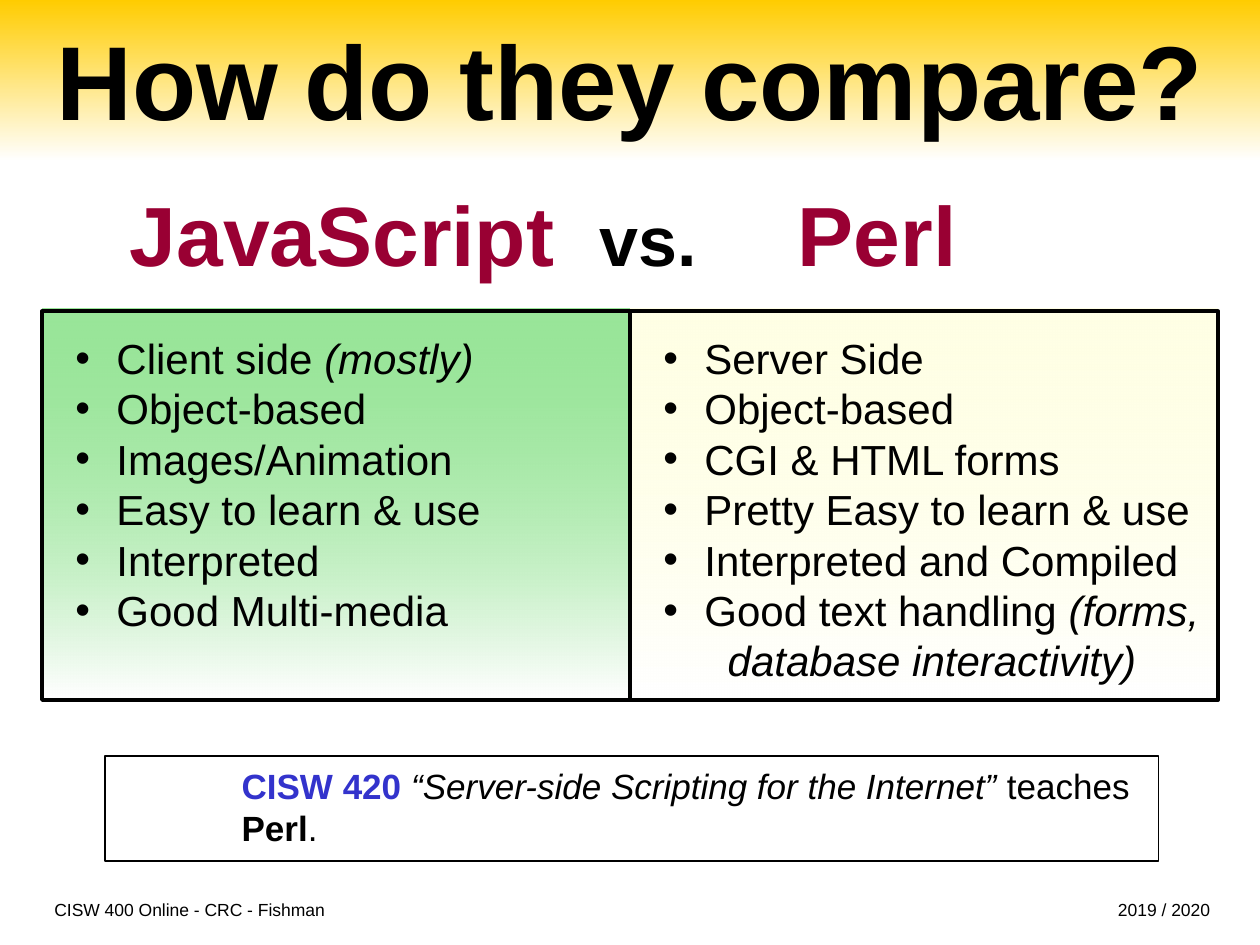
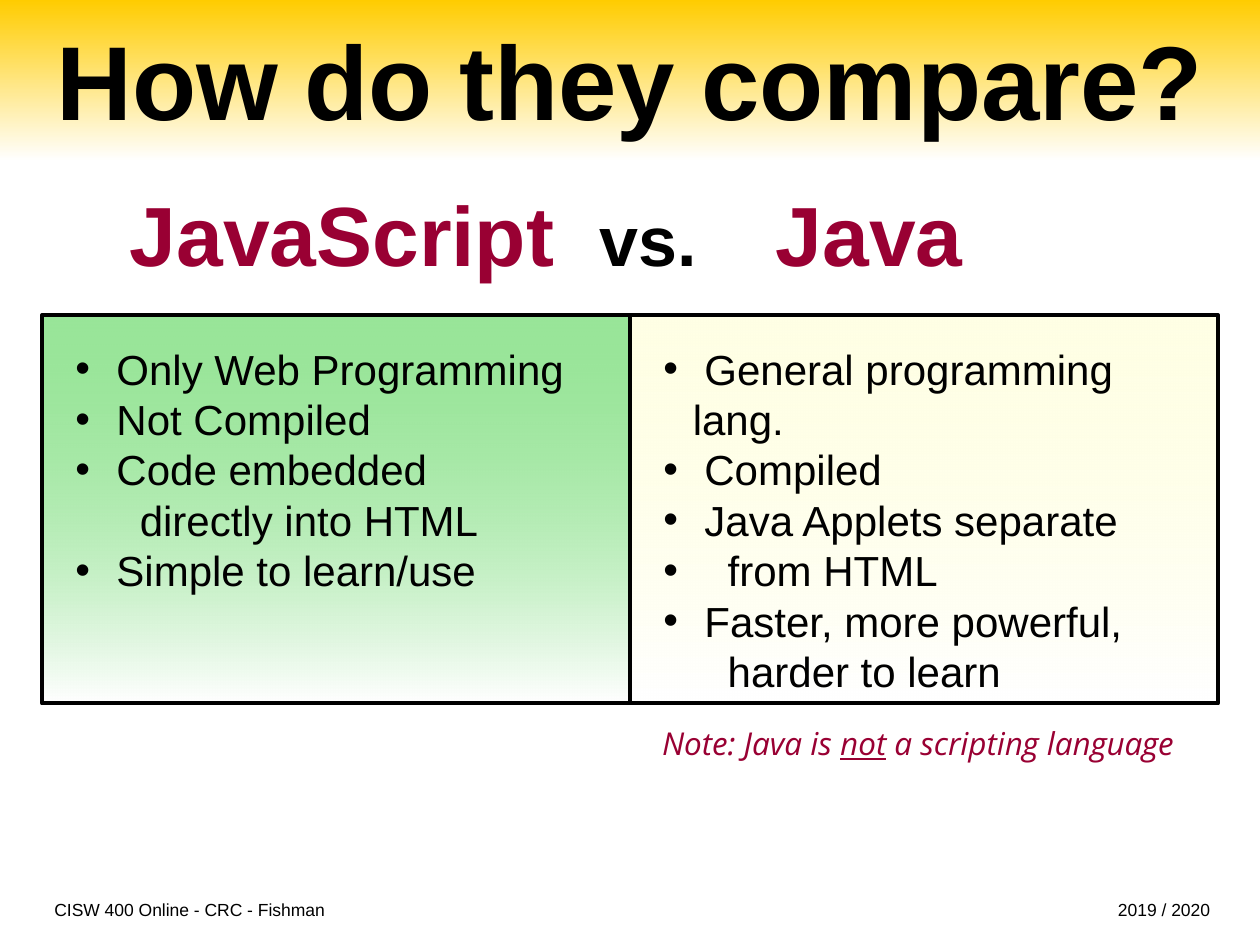
from pptx import Presentation
from pptx.dml.color import RGBColor as RGB
from pptx.enum.shapes import MSO_CONNECTOR as LINE, MSO_SHAPE as SHAPE
from pptx.enum.text import MSO_ANCHOR as ANCHOR, PP_ALIGN as ALIGN
from pptx.oxml.ns import qn
from pptx.util import Pt
from lxml.etree import SubElement as Sub

BLACK = RGB(0, 0, 0)
WHITE = RGB(255, 255, 255)
GOLD = RGB(0xFF, 0xCC, 0)
WINE = RGB(0x99, 0, 0x33)
BLUE = RGB(0x33, 0x33, 0xCC)
GREEN = RGB(0x33, 0xCC, 0x33)
CREAM = RGB(0xFF, 0xFF, 0xCC)

TITLE = "How do they compare?"
FOOT = "CISW 400 Online - CRC - Fishman\t2019 / 2020"

# A run is (text, style); a list row is (kind, runs).
ITALIC = {"italic": True}
BOLD = {"bold": True}
ITEM, MORE, DEEP = "item", "more", "deep"  # bullet, no bullet, indented bullet


def items(*words):
    return [(ITEM, [(word, {})]) for word in words]


PAGES = [
    {
        "pair": ("JavaScript", "Perl"), "tabs": (268.7, 381.8),
        "fill": 176.4, "frame": 178, "list": 186.5, "wide": (276, 324),
        "left": [(ITEM, [("Client side ", {}), ("(mostly)", ITALIC)])]
        + items("Object-based", "Images/Animation", "Easy to learn & use",
                "Interpreted", "Good Multi-media"),
        "right": items("Server Side", "Object-based", "CGI & HTML forms",
                       "Pretty Easy to learn & use",
                       "Interpreted and Compiled")
        + [(ITEM, [("Good text handling ", {}), ("(forms,", ITALIC)]),
           (MORE, [("database interactivity)", ITALIC)])],
        "border": (60, 432, 602, 60),
        "note": {"at": (131, 433.4, 537, 55.4), "size": 20, "font": "Arial",
                 "color": BLACK, "wrap": True,
                 "runs": [("CISW 420 ", {"bold": True, "color": BLUE}),
                          ("“Server-side Scripting for the Internet”", ITALIC),
                          (" teaches ", {}), ("Perl", BOLD), (".", {})]},
    },
    {
        "pair": ("JavaScript", "Java"), "tabs": (268.7, 369.2),
        "fill": 180, "frame": 180, "list": 192.5, "wide": (312, 324),
        "left": items("Only Web Programming", "Not Compiled", "Code embedded")
        + [(MORE, [("directly into HTML", {})])]
        + items("Simple to learn/use"),
        "right": items("General programming lang.", "Compiled",
                       "Java Applets separate")
        + [(DEEP, [("from HTML", {})])]
        + items("Faster, more powerful,")
        + [(MORE, [("harder to learn", {})])],
        "note": {"at": (371.3, 410.4, 313, 29), "size": 18,
                 "font": "Open Sans", "color": WINE, "wrap": False,
                 "runs": [("Note: Java is ", ITALIC),
                          ("not", {"italic": True, "underline": True}),
                          (" a scripting language", ITALIC)]},
    },
]

WIDTH, HEIGHT = 720, 540
EDGE, HALF, TALL = 24, 336, 222  # comparison panel
HANG, STEP = 16.8, 36.8          # bullet and continuation indents
ROW, PAD = 28.8, 7.2


def points(*at):
    return [Pt(v) for v in at]


def box(slide, at, wrap=True):
    frame = slide.shapes.add_textbox(*points(*at)).text_frame
    frame.word_wrap = wrap
    return frame


def write(para, runs, size, font="Arial", color=BLACK):
    for text, style in runs:
        run = para.add_run()
        run.text = text
        face = run.font
        face.name = font
        face.size = Pt(style.get("size", size))
        face.color.rgb = style.get("color", color)
        face.bold = style.get("bold", False)
        face.italic = style.get("italic", False)
        face.underline = style.get("underline", False)


def stops(para, *places):
    """Set tab stops given as (position, alignment)."""
    tabs = Sub(para._p.get_or_add_pPr(), qn("a:tabLst"))
    for place, align in places:
        Sub(tabs, qn("a:tab"), pos=str(Pt(place)), algn=align)


def rect(slide, at):
    shape = slide.shapes.add_shape(SHAPE.RECTANGLE, *points(*at))
    shape.shadow.inherit = False
    return shape


def fade(slide, at, color, alpha=None):
    """Rectangle that fades downwards to white."""
    shape = rect(slide, at)
    shape.line.fill.background()
    shape.fill.gradient()
    shape.fill.gradient_angle = 270
    for stop, tone in zip(shape.fill.gradient_stops, (color, WHITE)):
        stop.color.rgb = tone
    if alpha:
        first = shape._element.spPr.find(".//" + qn("a:srgbClr"))
        Sub(first, qn("a:alpha"), val=str(alpha * 1000))


def outline(slide, at, weight):
    shape = rect(slide, at)
    shape.fill.background()
    shape.line.color.rgb = BLACK
    shape.line.width = Pt(weight)
    return shape


def listing(slide, left, top, wide, rows):
    frame = box(slide, (left, top, wide, ROW * len(rows) + PAD))
    for i, (kind, runs) in enumerate(rows):
        para = frame.add_paragraph() if i else frame.paragraphs[0]
        props = para._p.get_or_add_pPr()
        margin = HANG if kind == ITEM else STEP
        props.set("marL", str(Pt(margin)))
        props.set("indent", str(Pt(0 if kind == MORE else -margin)))
        if kind == MORE:
            Sub(props, qn("a:buNone"))
        else:
            Sub(Sub(props, qn("a:buClr")), qn("a:srgbClr"), val=str(BLACK))
            Sub(props, qn("a:buFont"), typeface="Arial")
            Sub(props, qn("a:buChar"), char="•")
        if kind == ITEM:
            runs = [(" " + runs[0][0], runs[0][1])] + runs[1:]
        write(para, runs, 24)


def base(slide):
    """Footer, band and title, the same on every slide."""
    para = box(slide, (EDGE, 510, 684, 24)).paragraphs[0]
    stops(para, (660.4, "r"))
    write(para, [(FOOT, {})], 10)
    fade(slide, (0, 0, WIDTH, 92), GOLD)
    frame = box(slide, (0, 0, WIDTH, 90))
    frame.vertical_anchor = ANCHOR.MIDDLE
    para = frame.paragraphs[0]
    para.alignment = ALIGN.CENTER
    runs = []
    for word in TITLE.split():
        if runs:
            runs.append((" ", {"bold": True, "size": 54}))
        runs.append((word, BOLD))
    write(para, runs, 60)


def versus(slide, pair, tabs):
    frame = box(slide, (67, 90, 504, 72))
    frame.margin_top = Pt(8.6)
    para = frame.paragraphs[0]
    stops(para, *[(tab, "l") for tab in tabs])
    gap = ("\t", {"bold": True, "size": 54})
    mid = ("vs.", {"bold": True, "size": 40, "color": BLACK})
    write(para, [(pair[0], BOLD), gap, mid, gap, (pair[1], BOLD)], 48,
          color=WINE)


def panel(slide, page):
    fade(slide, (EDGE + HALF, page["fill"], HALF, TALL), CREAM, 50)
    fade(slide, (EDGE, page["fill"], HALF, TALL), GREEN, 50)
    top = page["frame"]
    frame = outline(slide, (EDGE, top, 2 * HALF, TALL), 2.25)
    mid = EDGE + HALF
    line = slide.shapes.add_connector(
        LINE.STRAIGHT, *points(mid, top, mid, top + TALL))
    line.begin_connect(frame, 0)
    line.end_connect(frame, 2)
    line.line.color.rgb = BLACK
    line.line.width = Pt(2.25)
    Sub(line._element.spPr, qn("a:effectLst"))
    for i, side in enumerate(("left", "right")):
        listing(slide, EDGE + 12 + i * HALF, page["list"], page["wide"][i],
                page[side])


def main():
    deck = Presentation()
    deck.slide_width, deck.slide_height = points(WIDTH, HEIGHT)
    for page in PAGES:
        slide = deck.slides.add_slide(deck.slide_layouts[6])
        base(slide)
        versus(slide, page["pair"], page["tabs"])
        if "border" in page:
            outline(slide, page["border"], 1)
        panel(slide, page)
        note = page["note"]
        para = box(slide, note["at"], note["wrap"]).paragraphs[0]
        write(para, note["runs"], note["size"], note["font"], note["color"])
    deck.save("out.pptx")


if __name__ == "__main__":
    main()
